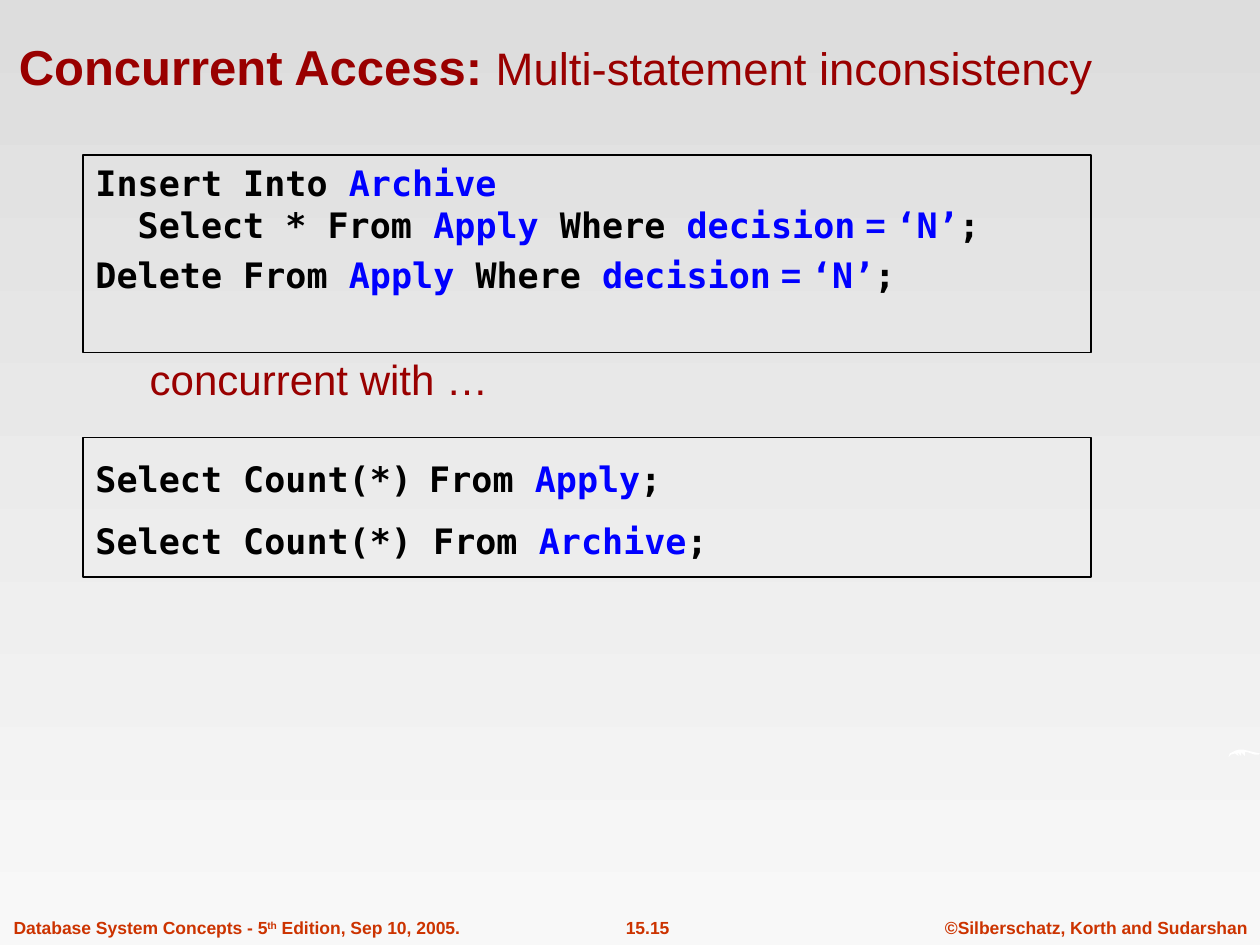
from dataclasses import dataclass

import pptx
import pptx.dml.color
import pptx.enum.shapes
import pptx.enum.text
import pptx.util
from pptx.util import Inches

ALIGN = pptx.enum.text.PP_ALIGN
ANCHOR = pptx.enum.text.MSO_ANCHOR


def rgb(value):
    return pptx.dml.color.RGBColor.from_string(value)


@dataclass(frozen=True)
class Theme:
    sans: str = "Arial"
    mono: str = "DejaVu Sans Mono"
    heading: str = "990000"
    footer: str = "CC3300"
    code: str = "000000"
    name: str = "0000FF"
    ornament: str = "FFFFFF"
    sky_top: str = "DDDDDD"
    sky_bottom: str = "F8F8F8"
    title_size: int = 28
    subtitle_size: int = 26
    remark_size: int = 24
    code_size: int = 20
    gap_size: int = 28
    footer_size: int = 10


THEME = Theme()


def style_font(font, face=None, size=None, color=None, bold=None):
    if face:
        font.name = face
    if size:
        font.size = pptx.util.Pt(size)
    if color:
        font.color.rgb = rgb(color)
    if bold is not None:
        font.bold = bold


def indent(paragraph, left, first):
    properties = paragraph._p.get_or_add_pPr()
    properties.set("marL", str(Inches(left)))
    properties.set("indent", str(Inches(first)))


def add_run(paragraph, text, baseline=None, **style):
    run = paragraph.add_run()
    run.text = text
    style_font(run.font, **style)
    if baseline is not None:
        run._r.get_or_add_rPr().set("baseline", str(baseline * 1000))


def place(shape, box):
    shape.left, shape.top, shape.width, shape.height = map(Inches, box)


def paint_background(slide):
    fill = slide.background.fill
    fill.gradient()
    fill.gradient_angle = 270
    for stop, color in zip(fill.gradient_stops, (THEME.sky_top, THEME.sky_bottom)):
        stop.color.rgb = rgb(color)


def add_title(slide, box, topic, detail):
    title = slide.shapes.title
    place(title, box)
    frame = title.text_frame
    frame.word_wrap = True
    frame.auto_size = pptx.enum.text.MSO_AUTO_SIZE.NONE
    frame.vertical_anchor = ANCHOR.TOP
    heading = frame.paragraphs[0]
    heading.alignment = ALIGN.LEFT
    heading.line_spacing = 0.9
    indent(heading, 0.3, -0.2)
    style_font(heading.font, THEME.sans, color=THEME.heading)
    add_run(heading, topic, size=THEME.title_size, bold=True)
    add_run(heading, detail, size=THEME.subtitle_size, bold=False)


def add_code(slide, box, statements):
    panel = slide.shapes.add_shape(
        pptx.enum.shapes.MSO_SHAPE.RECTANGLE, *map(Inches, box))
    panel.shadow.inherit = False
    panel.fill.background()
    panel.line.color.rgb = rgb(THEME.code)
    panel.line.width = pptx.util.Pt(0.75)
    frame = panel.text_frame
    frame.word_wrap = True
    frame.vertical_anchor = ANCHOR.TOP
    for index, (space, parts) in enumerate(statements):
        line = frame.add_paragraph() if index else frame.paragraphs[0]
        line.alignment = ALIGN.LEFT
        indent(line, 0.38, -0.38)
        if space:
            line.space_before = pptx.util.Pt(space)
        style_font(line.font, THEME.mono, THEME.code_size, THEME.code, True)
        for text, style in parts:
            add_run(line, text, **style)


def add_remark(slide, box, text):
    frame = slide.shapes.add_textbox(*map(Inches, box)).text_frame
    frame.word_wrap = True
    remark = frame.paragraphs[0]
    remark.text = text
    remark.line_spacing = 0.9
    indent(remark, 0.3, -0.2)
    style_font(remark.font, THEME.sans, THEME.remark_size, THEME.heading)


def add_footer(slide, box, parts, alignment):
    frame = slide.shapes.add_textbox(*map(Inches, box)).text_frame
    frame.word_wrap = False
    note = frame.paragraphs[0]
    note.alignment = alignment
    style_font(note.font, THEME.sans, THEME.footer_size, THEME.footer, True)
    for text, baseline in parts:
        add_run(note, text, baseline)


def add_ornament(slide, left, top):
    outline = [
        (1, 3), (3, 2), (5, 1), (8, 0), (12, 0), (16, 1), (20, 2), (25, 3),
        (24, 4), (21, 4), (18, 3), (15, 2), (13, 2), (13, 5), (10, 2), (10, 5),
        (7, 2), (8, 5), (5, 3), (2, 4), (0, 6),
    ]
    builder = slide.shapes.build_freeform(0, 6, scale=Inches(0.01))
    builder.add_line_segments(outline, close=True)
    ornament = builder.convert_to_shape(Inches(left), Inches(top))
    ornament.shadow.inherit = False
    ornament.fill.solid()
    ornament.fill.fore_color.rgb = rgb(THEME.ornament)
    ornament.line.fill.background()


def main():
    deck = pptx.Presentation()
    deck.slide_width, deck.slide_height = Inches(10), Inches(7.5)
    slide = deck.slides.add_slide(deck.slide_layouts[5])
    paint_background(slide)

    add_footer(slide, (7.4, 7.23, 2.6, 0.27),
               [("©Silberschatz, Korth and Sudarshan", None)], ALIGN.CENTER)
    add_footer(slide, (4.61, 7.23, 1.06, 0.27), [("15.15", None)], ALIGN.CENTER)
    add_footer(slide, (0.01, 7.23, 3.74, 0.27),
               [("Database System Concepts - 5", None), ("th", 30),
                (" Edition, Sep 10, 2005.", None)], ALIGN.LEFT)
    add_ornament(slide, 9.75, 5.95)

    add_title(slide, (-0.05, 0.29, 9.08, 0.83),
              "Concurrent Access: ", "Multi-statement inconsistency")

    plain = {}
    named = {"color": THEME.name}
    from_apply = [
        ("Apply", named), (" Where ", plain), ("decision", named),
        (" = ", {"face": THEME.sans, "color": THEME.name}),
        ("‘N’", named), (";", plain),
    ]
    add_code(slide, (0.66, 1.23, 8, 1.57), [
        (0, [("Insert Into ", plain), ("Archive", named)]),
        (0, [("  Select * From ", plain), *from_apply]),
        (5, [("Delete From ", plain), *from_apply]),
    ])
    add_code(slide, (0.66, 3.47, 8, 1.11), [
        (0, [("Select Count(*)", plain),
             (" ", {"size": THEME.gap_size, "baseline": -25}),
             ("From ", plain), ("Apply", named), (";", plain)]),
        (5, [("Select Count(*) From ", plain), ("Archive", named), (";", plain)]),
    ])
    add_remark(slide, (0.99, 2.8, 4, 0.56), "concurrent with …")

    deck.save("out.pptx")


if __name__ == "__main__":
    main()
